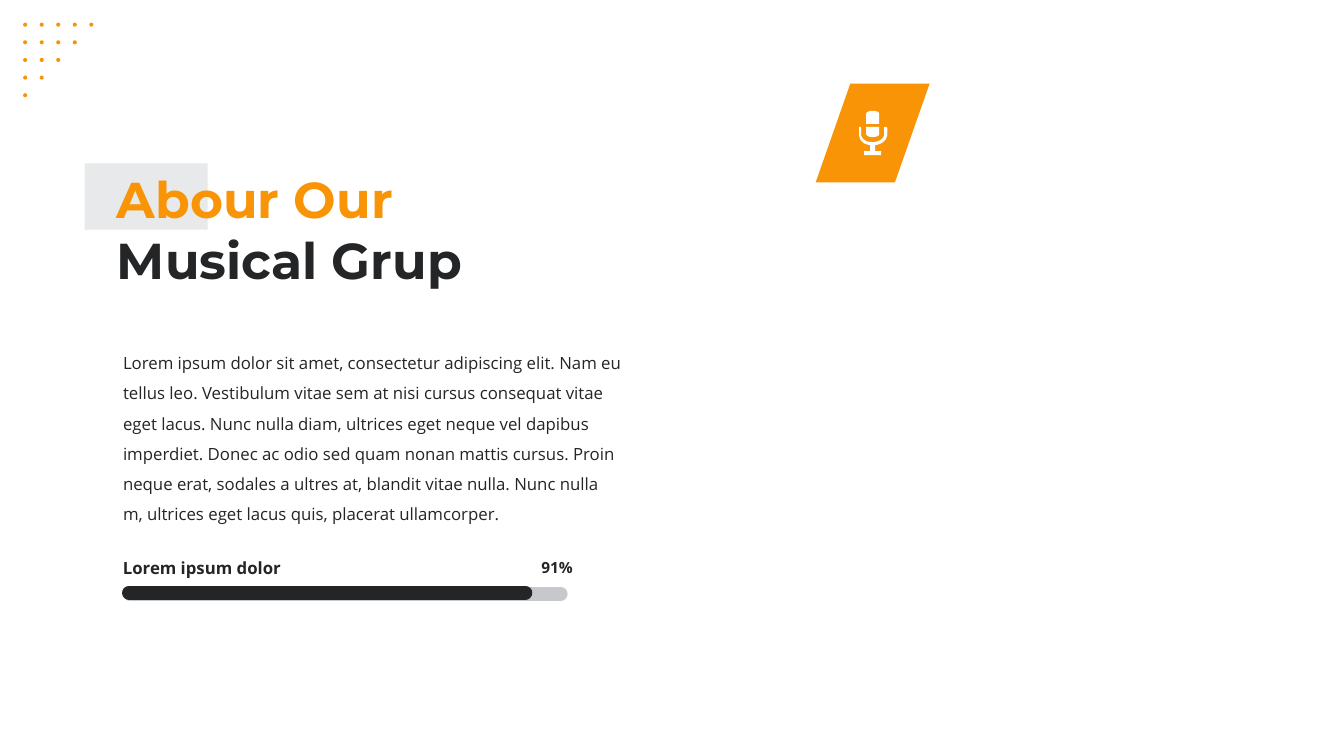
"""Build the slide that introduces the musical group."""
from lxml import etree
from pptx import Presentation
from pptx.dml.color import RGBColor
from pptx.enum.shapes import MSO_CONNECTOR, MSO_SHAPE
from pptx.enum.text import MSO_ANCHOR, MSO_AUTO_SIZE, PP_ALIGN
from pptx.oxml.ns import qn
from pptx.util import Inches, Pt

RECTANGLE, OVAL = MSO_SHAPE.RECTANGLE, MSO_SHAPE.OVAL
PARALLELOGRAM, STRAIGHT = MSO_SHAPE.PARALLELOGRAM, MSO_CONNECTOR.STRAIGHT
TOP, NO_AUTOFIT = MSO_ANCHOR.TOP, MSO_AUTO_SIZE.NONE
LEFT, RIGHT = PP_ALIGN.LEFT, PP_ALIGN.RIGHT
ORANGE, DARK, PALE, TRACK = "F89406", "242527", "E8E9EA", "C6C8CB"
CURVE_STEPS = 10


def paint(shape, color):
    """Give a shape a plain fill without line or shadow."""
    shape.fill.solid()
    shape.fill.fore_color.rgb = RGBColor.from_string(color)
    shape.line.fill.background()
    shape.shadow.inherit = False


def write(holder, box, lines, font_name, size, bold=True, align=LEFT):
    """Place a text holder and fill it with (text, color) paragraphs."""
    holder.left, holder.top, holder.width, holder.height = map(Inches, box)
    frame = holder.text_frame
    frame.word_wrap = True
    frame.auto_size = NO_AUTOFIT
    frame.vertical_anchor = TOP
    frame.text = "\n".join(text for text, _ in lines)
    for paragraph, (_, color) in zip(frame.paragraphs, lines):
        paragraph.alignment = align
        paragraph.space_before = Pt(0)
        paragraph.font.name = font_name
        paragraph.font.size = Pt(size)
        paragraph.font.bold = bold
        paragraph.font.color.rgb = RGBColor.from_string(color)


prs = Presentation()
prs.slide_width, prs.slide_height = Inches(13.33), Inches(7.5)
slide = prs.slides.add_slide(prs.slide_layouts[1])
shapes = slide.shapes
title, about = slide.placeholders

write(title, (1.06, 1.62, 4.28, 1.31),
      [("Abour Our", ORANGE), ("Musical Grup", DARK)], "Montserrat", 36)
title_accent = shapes.add_shape(RECTANGLE, Inches(0.84), Inches(1.62), Inches(1.22), Inches(0.66))
paint(title_accent, PALE)
title.element.addprevious(title_accent.element)

about_text = (
    "Lorem ipsum dolor sit amet, consectetur adipiscing elit. Nam eu tellus leo. "
    "Vestibulum vitae sem at nisi cursus consequat vitae eget lacus. Nunc nulla diam, "
    "ultrices eget neque vel dapibus imperdiet. Donec ac odio sed quam nonan mattis "
    "cursus. Proin neque erat, sodales a ultres at, blandit vitae nulla. Nunc nulla m, "
    "ultrices eget lacus quis, placerat ullamcorper."
)
write(about, (1.12, 3.35, 5.16, 1.92), [(about_text, DARK)], "Open Sans", 12, bold=False)
about_paragraph = about.text_frame.paragraphs[0]
about_paragraph.line_spacing = 1.5
about_format = about_paragraph._p.get_or_add_pPr()
about_format.set("marL", "0")
about_format.set("indent", "0")
etree.SubElement(about_format, qn("a:buNone"))

badge = shapes.add_shape(PARALLELOGRAM, Inches(8.09), Inches(0.83), Inches(1.13), Inches(0.98))
badge.adjustments[0] = 0.351
paint(badge, ORANGE)

# Each step holds a line end (x, y) or a cubic curve (x1, y1, x2, y2, x, y).
microphone = [
    [(8.8, 1.27), (8.8, 1.33), (8.8, 1.38, 8.76, 1.43, 8.68, 1.44), (8.68, 1.5),
     (8.74, 1.5), (8.74, 1.54), (8.57, 1.54), (8.57, 1.5), (8.63, 1.5), (8.63, 1.44),
     (8.55, 1.43, 8.52, 1.38, 8.52, 1.33), (8.52, 1.26), (8.54, 1.26), (8.54, 1.33),
     (8.54, 1.36, 8.57, 1.41, 8.65, 1.41), (8.74, 1.41, 8.77, 1.36, 8.77, 1.33),
     (8.77, 1.26), (8.79, 1.26)],
    [(8.72, 1.23), (8.59, 1.23), (8.59, 1.13), (8.59, 1.12, 8.61, 1.1, 8.65, 1.1),
     (8.71, 1.1, 8.72, 1.12, 8.72, 1.13)],
    [(8.59, 1.33), (8.59, 1.26), (8.72, 1.26), (8.72, 1.33),
     (8.72, 1.34, 8.71, 1.36, 8.65, 1.36), (8.61, 1.36, 8.59, 1.34, 8.59, 1.33)],
]
start_x, start_y = microphone[0][0]
icon_builder = shapes.build_freeform(Inches(start_x), Inches(start_y))
for part in microphone:
    points = [part[0]]
    for step in part[1:]:
        if len(step) == 2:
            points.append(step)
            continue
        controls = [points[-1], step[:2], step[2:4], step[4:]]
        for i in range(1, CURVE_STEPS + 1):
            t = i / CURVE_STEPS
            weights = ((1 - t) ** 3, 3 * t * (1 - t) ** 2, 3 * t * t * (1 - t), t ** 3)
            points.append(tuple(sum(w * c[axis] for w, c in zip(weights, controls))
                                for axis in (0, 1)))
    corners = [(Inches(x), Inches(y)) for x, y in points]
    if part is not microphone[0]:
        icon_builder.move_to(*corners[0])
    icon_builder.add_line_segments(corners[1:], close=True)
paint(icon_builder.convert_to_shape(), "FFFFFF")

for box, text, size, align in [
    ((5.04, 5.49, 0.74, 0.29), "91%", 11, RIGHT),
    ((1.12, 5.48, 2.82, 0.3), "Lorem ipsum dolor", 12, LEFT),
]:
    label = shapes.add_textbox(0, 0, 0, 0)
    write(label, box, [(text, DARK)], "Open Sans", size, align=align)

for bar_start, bar_end, bar_y, color in [(1.29, 5.56, 5.89, TRACK), (1.28, 5.21, 5.88, DARK)]:
    bar = shapes.add_connector(STRAIGHT, Inches(bar_start), Inches(bar_y),
                               Inches(bar_end), Inches(bar_y))
    bar.line.color.rgb = RGBColor.from_string(color)
    bar.line.width = Pt(10)
    bar.line._get_or_add_ln().set("cap", "rnd")
    etree.SubElement(bar.element.spPr, qn("a:effectLst"))

for row in range(5):
    for column in range(5 - row):
        dot = shapes.add_shape(OVAL, Inches(0.23 + 0.164 * column), Inches(0.225 + 0.175 * row),
                               Inches(0.04), Inches(0.04))
        paint(dot, ORANGE)

prs.save("out.pptx")
